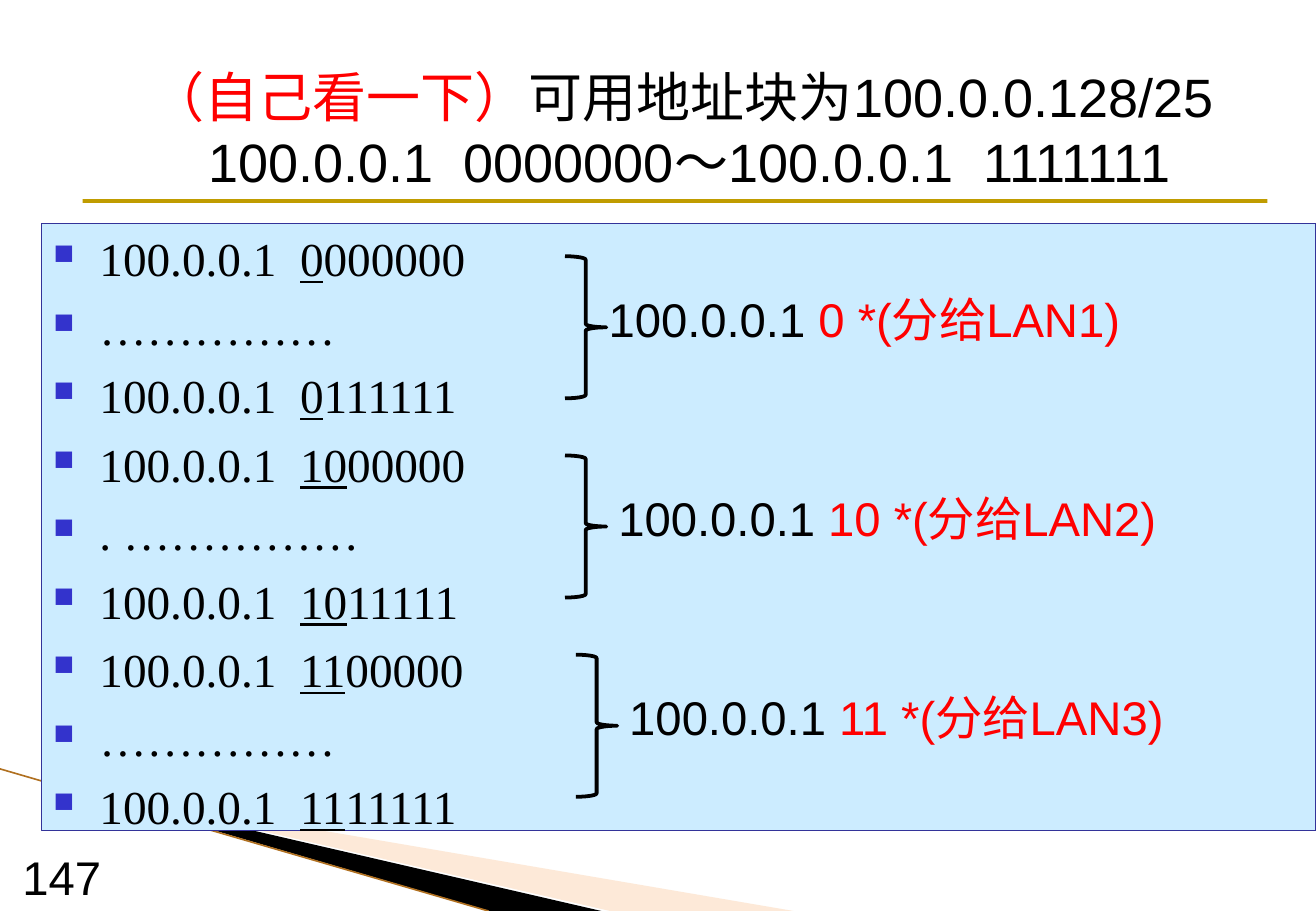
from dataclasses import dataclass
from typing import NamedTuple

from lxml import etree
from pptx import Presentation
from pptx import util as u
from pptx.dml.color import RGBColor
from pptx.enum import shapes, text
from pptx.oxml import ns


@dataclass(frozen=True)
class Theme:
    black: str = "000000"
    red: str = "FF0000"
    gold: str = "C09C00"
    peach: str = "FBC99E"
    brown: str = "B07020"
    panel: str = "CCECFF"
    navy: str = "333399"
    bullet: str = "3333CC"
    sans: str = "Arial"
    serif: str = "Times New Roman"
    title: int = 32
    body: int = 28


class Lan(NamedTuple):
    prefix: str
    dots: str
    name: str
    brace: float
    label: float
    width: float


T = Theme()
BITS = 7
NET = "100.0.0.1"
PITCH = 1.64
LANS = [
    Lan("0", "……………", "LAN1", 4.65, 4.91, 5.33),
    Lan("10", ". ……………", "LAN2", 4.65, 4.99, 5.59),
    Lan("11", "……………", "LAN3", 4.74, 5.08, 5.59),
]


def rgb(code: str) -> RGBColor:
    return RGBColor.from_string(code)


def box(*sides: float) -> list:
    return [u.Inches(s) for s in sides]


def style(font, size: int, name: str, color: str = T.black) -> None:
    font.size, font.name = u.Pt(size), name
    font.color.rgb = rgb(color)


def paint(shape, fill: str = "", line: str = "", width: float = 0.75) -> None:
    shape.shadow.inherit = False
    if fill:
        shape.fill.solid()
        shape.fill.fore_color.rgb = rgb(fill)
    else:
        shape.fill.background()
    if line:
        shape.line.color.rgb = rgb(line)
        shape.line.width = u.Pt(width)
    else:
        shape.line.fill.background()


def tag(parent, name: str, **attrs: str):
    return etree.SubElement(parent, ns.qn(name), attrs)


def wedge(slide, points: list, fill: str):
    first, *rest = [tuple(box(*p)) for p in points]
    form = slide.shapes.build_freeform(*first)
    form.add_line_segments(rest)
    shape = form.convert_to_shape()
    paint(shape, fill)
    return shape


def write(slide, at: list, parts: list, align=text.PP_ALIGN.LEFT,
          anchor=text.MSO_ANCHOR.TOP) -> None:
    frame = slide.shapes.add_textbox(*at).text_frame
    frame.word_wrap = True
    frame.vertical_anchor = anchor
    para = frame.paragraphs[0]
    para.alignment = align
    style(para.font, T.body, T.sans)
    for words, color in parts:
        run = para.add_run()
        run.text = words
        run.font.color.rgb = rgb(color)


def row(para, parts: list) -> None:
    para.alignment = text.PP_ALIGN.LEFT
    para.space_before = u.Pt(7)
    style(para.font, T.body, T.serif)
    props = para._p.get_or_add_pPr()
    props.set("marL", str(u.Inches(0.38)))
    props.set("indent", str(u.Inches(-0.38)))
    mark = [e for e in props if e.tag == ns.qn("a:defRPr")]
    tag(tag(props, "a:buClr"), "a:srgbClr", val=T.bullet)
    tag(props, "a:buSzPct", val="60000")
    tag(props, "a:buChar", char="■")
    props.extend(mark)  # default run properties come last
    for words, under in parts:
        run = para.add_run()
        run.text = words
        if under:
            run.font.underline = True


def decor(slide) -> None:
    rule = slide.shapes.add_shape(shapes.MSO_SHAPE.RECTANGLE,
                                  *box(0.68, 1.64, 9.75, 0.03))
    paint(rule, T.gold)
    pale = wedge(slide, [(0.67, 6.5), (6.53, 7.5), (5.02, 7.5)], T.peach)
    hue = pale.fill._xPr.find(".//" + ns.qn("a:srgbClr"))
    tag(hue, "a:alpha", val="40000")
    wedge(slide, [(0.58, 6.49), (4.95, 7.5), (4.03, 7.5)], T.black)
    edge = slide.shapes.add_connector(shapes.MSO_CONNECTOR.STRAIGHT,
                                      *box(0, 6.33, 4.02, 7.5))
    edge.line.color.rgb = rgb(T.brown)
    edge.line.width = u.Pt(0.95)
    tag(edge._element.spPr, "a:effectLst")


def head(slide) -> None:
    title = slide.shapes.title
    title.left, title.top, title.width, title.height = box(0.51, 0.31, 10.33, 1.33)
    frame = title.text_frame
    frame.auto_size = text.MSO_AUTO_SIZE.NONE
    frame.vertical_anchor = text.MSO_ANCHOR.BOTTOM
    para = frame.paragraphs[0]
    para.alignment = text.PP_ALIGN.CENTER
    for words, name, color in [
        ("（自己看一下）", T.serif, T.red),
        ("可用地址块为", T.serif, T.black),
        ("100.0.0.128/25 ", T.sans, T.black),
        ("\n", T.sans, T.black),
        ("100.0.0.1  0000000～100.0.0.1  1111111", T.sans, T.black),
    ]:
        if words == "\n":
            para.add_line_break()
            continue
        run = para.add_run()
        run.text = words
        style(run.font, T.title, name, color)


def panel(slide) -> None:
    shape = slide.shapes.add_shape(shapes.MSO_SHAPE.RECTANGLE,
                                   *box(0.34, 1.84, 10.49, 5))
    paint(shape, T.panel, T.navy)
    frame = shape.text_frame
    frame.word_wrap = True
    frame.vertical_anchor = text.MSO_ANCHOR.TOP
    rows = []
    for lan in LANS:
        low, high = ([(NET + "  ", False), (lan.prefix, True),
                      (bit * (BITS - len(lan.prefix)), False)] for bit in "01")
        rows += [low, [(lan.dots, False)], high]
    for i, parts in enumerate(rows):
        row(frame.add_paragraph() if i else frame.paragraphs[0], parts)


def group(slide, i: int, lan: Lan) -> None:
    brace = slide.shapes.add_shape(shapes.MSO_SHAPE.RIGHT_BRACE,
                                   *box(lan.brace, 2.11 + i * PITCH, 0.34, 1.17))
    brace.adjustments[0] = 0.083
    paint(brace, line=T.black, width=2.25)
    write(slide, box(lan.label, 2.34 + i * PITCH, lan.width, 0.57),
          [(NET, T.black), (f" {lan.prefix} *(分给{lan.name})", T.red)])


def main() -> None:
    deck = Presentation()
    deck.slide_width, deck.slide_height = box(10.83, 7.5)
    slide = deck.slides.add_slide(deck.slide_layouts[5])
    # Background wedges and rule
    decor(slide)
    # Title and page number
    head(slide)
    write(slide, box(0, 6.95, 0.93, 0.55), [("147", T.black)],
          text.PP_ALIGN.RIGHT, text.MSO_ANCHOR.BOTTOM)
    # Address list, braces and their labels
    panel(slide)
    for i, lan in enumerate(LANS):
        group(slide, i, lan)
    deck.save("out.pptx")


if __name__ == "__main__":
    main()
